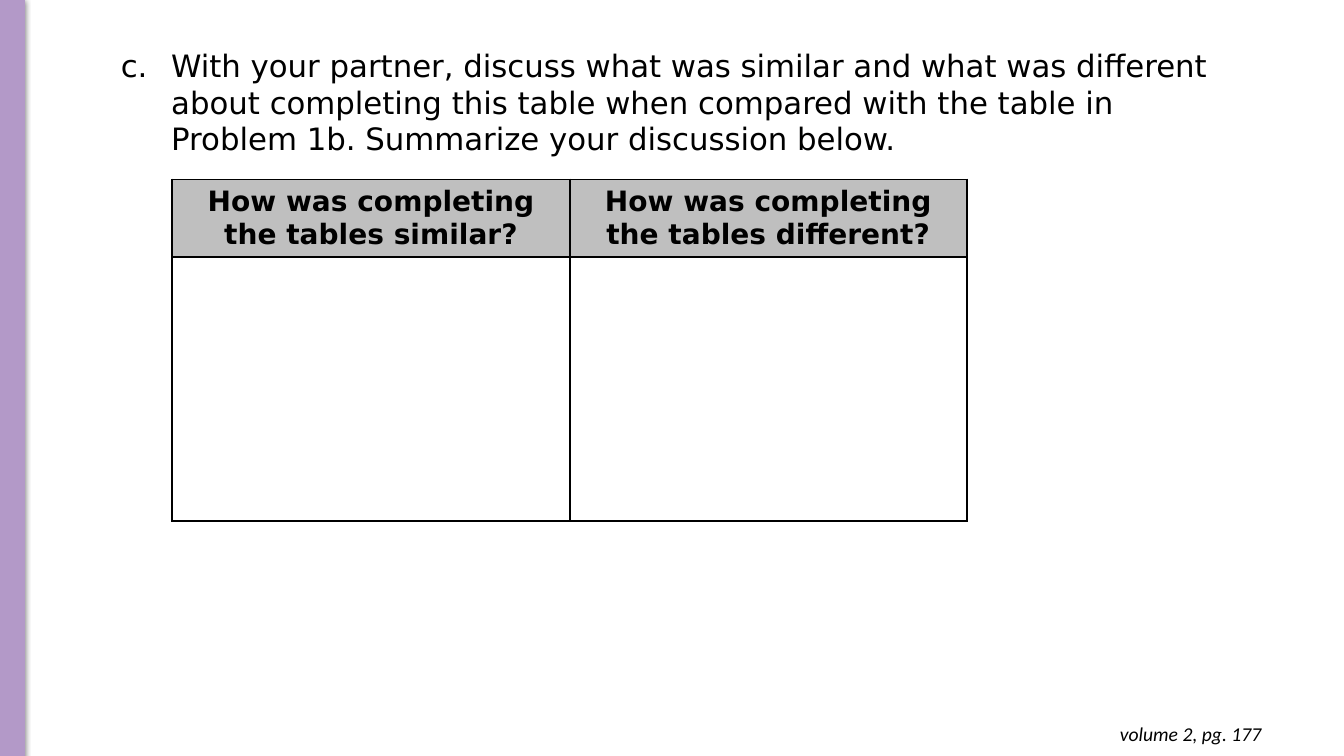
from lxml import etree
from pptx import Presentation
from pptx.dml.color import RGBColor
from pptx.enum.shapes import MSO_SHAPE
from pptx.enum.text import MSO_ANCHOR, MSO_AUTO_SIZE, PP_ALIGN
from pptx.oxml import parse_xml
from pptx.oxml.ns import nsdecls, qn
from pptx.util import Inches, Pt

RECTANGLE = MSO_SHAPE.RECTANGLE
MIDDLE = MSO_ANCHOR.MIDDLE
GROW = MSO_AUTO_SIZE.SHAPE_TO_FIT_TEXT
CENTER, RIGHT = PP_ALIGN.CENTER, PP_ALIGN.RIGHT

WIDTH, HEIGHT = 13.33, 7.5
BLACK, GRAY, PURPLE = "000000", "BFBFBF", "B399C8"
QUESTION = (
    "With your partner, discuss what was similar and what was different "
    "about completing this table when compared with the table in "
    "Problem 1b. Summarize your discussion below."
)
HEADINGS = [
    "How was completing the tables similar?",
    "How was completing the tables different?",
]
COLUMN_WIDTH = 3.94
ROW_HEIGHTS = [0.77, 2.62]


def color(value):
    return RGBColor.from_string(value)


def set_font(paragraph, name, size, bold=False, italic=False):
    font = paragraph.font
    font.name, font.size = name, Pt(size)
    font.bold, font.italic = bold, italic
    font.color.rgb = color(BLACK)


def add_side_bar(slide):
    bar = slide.shapes.add_shape(
        RECTANGLE, 0, Inches(-0.01), Inches(0.24), Inches(HEIGHT + 0.01)
    )
    bar.fill.solid()
    bar.fill.fore_color.rgb = color(PURPLE)
    bar.line.color.rgb = color(PURPLE)
    bar.line.width = Pt(0.75)
    bar.shadow.inherit = False
    effects = bar._element.spPr.find(qn("a:effectLst"))
    effects.append(parse_xml(
        f'<a:outerShdw {nsdecls("a")} blurRad="{Pt(4.5)}" dist="{Pt(1.5)}" '
        f'dir="5400000" rotWithShape="0"><a:srgbClr val="{BLACK}">'
        '<a:alpha val="50000"/></a:srgbClr></a:outerShdw>'
    ))


def add_text(slide, text, left, top, width, height):
    box = slide.shapes.add_textbox(
        Inches(left), Inches(top), Inches(width), Inches(height)
    )
    frame = box.text_frame
    frame.word_wrap = True
    frame.auto_size = GROW
    paragraph = frame.paragraphs[0]
    paragraph.text = text
    return frame, paragraph


def add_lettering(paragraph, start, indent, hanging):
    properties = paragraph._p.get_or_add_pPr()
    properties.set("marL", str(Inches(indent)))
    properties.set("indent", str(Inches(-hanging)))
    bullet_color = etree.SubElement(properties, qn("a:buClr"))
    etree.SubElement(bullet_color, qn("a:srgbClr"), val=BLACK)
    etree.SubElement(
        properties, qn("a:buAutoNum"), type="alphaLcPeriod", startAt=str(start)
    )


def add_borders(cell):
    properties = cell._tc.get_or_add_tcPr()
    for side in "LRTB":
        line = etree.SubElement(properties, qn(f"a:ln{side}"), w=str(Pt(1.5)))
        fill = etree.SubElement(line, qn("a:solidFill"))
        etree.SubElement(fill, qn("a:srgbClr"), val=BLACK)


def fill_heading(cell, text):
    cell.fill.solid()
    cell.fill.fore_color.rgb = color(GRAY)
    cell.vertical_anchor = MIDDLE
    cell.margin_left = cell.margin_right = Inches(0.07)
    paragraph = cell.text_frame.paragraphs[0]
    paragraph.text = text
    paragraph.alignment = CENTER
    set_font(paragraph, "DejaVu Sans", 20, bold=True)


def add_comparison_table(slide, left, top):
    table = slide.shapes.add_table(
        len(ROW_HEIGHTS), len(HEADINGS), Inches(left), Inches(top),
        Inches(COLUMN_WIDTH * len(HEADINGS)), Inches(sum(ROW_HEIGHTS)),
    ).table
    table.horz_banding = False
    for row, height in zip(table.rows, ROW_HEIGHTS):
        row.height = Inches(height)
    for index, heading in enumerate(HEADINGS):
        table.columns[index].width = Inches(COLUMN_WIDTH)
        heading_cell, answer_cell = table.cell(0, index), table.cell(1, index)
        add_borders(heading_cell)
        add_borders(answer_cell)
        fill_heading(heading_cell, heading)
        answer_cell.fill.background()


def main():
    presentation = Presentation()
    presentation.slide_width = Inches(WIDTH)
    presentation.slide_height = Inches(HEIGHT)
    slide = presentation.slides.add_slide(presentation.slide_layouts[6])

    add_side_bar(slide)

    _, question = add_text(slide, QUESTION, 0.6, 0.41, 11.81, 1.58)
    add_lettering(question, start=3, indent=1, hanging=0.5)
    set_font(question, "DejaVu Sans", 22)

    add_comparison_table(slide, 1.71, 1.78)

    frame, page = add_text(slide, "volume 2, pg. 177", 9.73, 7.06, 2.88, 0.44)
    frame.margin_top = frame.margin_bottom = Inches(0.1)
    page.alignment = RIGHT
    set_font(page, "Calibri", 14, italic=True)

    presentation.save("out.pptx")


if __name__ == "__main__":
    main()
